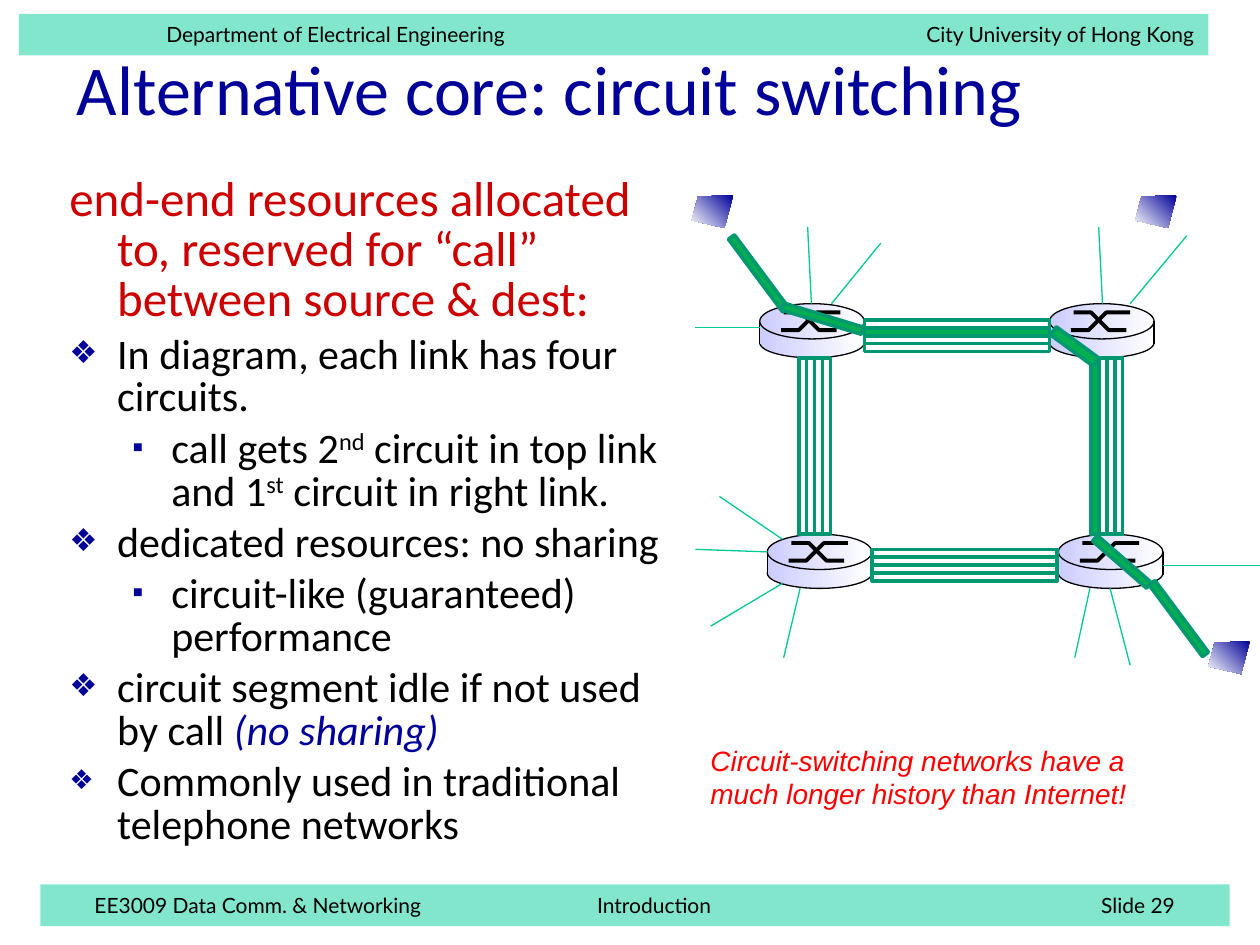
from lxml.etree import SubElement
from pptx import Presentation
from pptx.dml.color import RGBColor
from pptx.enum.shapes import MSO_CONNECTOR, MSO_SHAPE
from pptx.enum.text import MSO_ANCHOR, MSO_AUTO_SIZE, PP_ALIGN
from pptx.oxml.ns import qn
from pptx.util import Inches, Pt

THEME = {
    "bar": "00CC99", "bar_alpha": 49000, "navy": "000099", "lead": "CC0000",
    "text": "000000", "note": "FF0000", "router": "CCCCFF", "white": "FFFFFF",
    "circuit": "009771", "call": "00B050", "access": "00C896",
    "font": "Calibri", "bar_font": "Lato", "note_font": "Arial",
    "title_size": 40, "lead_size": 28, "body_size": 24, "note_size": 16, "bar_size": 12,
}

# (left, top, left margin, text, tab stops measured from the first word)
BARS = [
    (0.15, 0.11, 1.17, "Department of Electrical Engineering\tCity University of Hong Kong",
     [(8.16, "r")]),
    (0.32, 7.02, 0.43, "EE3009 Data Comm. & Networking\tIntroduction\tSlide 29",
     [(3.99, "l"), (7.99, "l")]),
]
TITLE = "Alternative core: circuit switching"
LEAD = "end-end resources allocated to, reserved for “call” between source & dest:"
# (level, bullet size in percent, runs of (text, style))
POINTS = [
    (0, 75, [("In diagram, each link has four circuits.", "")]),
    (1, 75, [("call gets 2", ""), ("nd", "super"), (" circuit in top link and 1", ""),
             ("st", "super"), (" circuit in right link.", "")]),
    (0, 75, [("dedicated resources: no sharing", "")]),
    (1, 75, [("circuit-like (guaranteed) performance", "")]),
    (0, 75, [("circuit segment idle if not used by call ", ""), ("(no sharing)", "accent")]),
    (0, 65, [("Commonly used in traditional telephone networks", "")]),
]
LEVELS = [(0.38, -0.38, "❖"), (0.81, -0.31, "▪")]  # margin, indent, bullet
NOTE = "Circuit-switching networks have a much longer history than Internet!"

COMPUTERS = [(5.49, 1.55), (9.01, 1.55), (9.59, 5.09)]
COMPUTER_OUTLINE = [(0.33, 0), (0.05, 0.01), (0, 0.2), (0.26, 0.26)]
ROUTERS = [(6.03, 2.41), (8.33, 2.41), (6.09, 4.24), (8.4, 4.24)]
ROUTER_WIDTH = 0.83
ROUTER_CROSSING = [
    [(0.17, 0.21), (0.31, 0.21), (0.45, 0.07), (0.64, 0.07)],
    [(0.19, 0.07), (0.33, 0.07), (0.47, 0.21), (0.61, 0.21)],
]
# (left, top, length, vertical, index of the circuit taken by the call)
LINKS = [
    (6.86, 2.54, 1.47, False, 1), (6.34, 2.84, 1.4, True, None),
    (6.92, 4.36, 1.47, False, None), (8.66, 2.84, 1.4, True, 0),
]
CIRCUITS, LINK_THICKNESS = 4, 0.25
CIRCUIT_THICKNESS = LINK_THICKNESS / CIRCUITS
# (left, top, width, height, rotation)
CALL_SEGMENTS = [
    (5.66, 2.14, 0.72, 0.06, 53.3), (9, 4.88, 0.71, 0.06, 53.3), (6.2, 2.5, 0.66, 0.06, 16.9),
    (8.62, 4.43, 0.57, 0.06, 41.1), (8.32, 2.71, 0.42, 0.08, 36.3),
]
ACCESS_LINES = [
    (6.41, 1.8, 6.44, 2.41), (6.99, 1.93, 6.6, 2.41), (5.52, 2.6, 6.03, 2.6),
    (5.52, 4.36, 6.09, 4.38), (5.71, 3.94, 6.21, 4.28), (5.64, 4.97, 6.21, 4.63),
    (6.22, 5.22, 6.35, 4.67), (10, 4.49, 9.23, 4.49), (8.97, 5.28, 8.81, 4.67),
    (8.53, 5.22, 8.65, 4.67), (8.72, 1.8, 8.75, 2.41), (9.42, 1.87, 8.97, 2.41),
]


def color(name):
    return RGBColor.from_string(THEME[name])


def place(part, left, top, width, height):
    part.left, part.top = Inches(left), Inches(top)
    part.width, part.height = Inches(width), Inches(height)


def add_run(paragraph, text, font, size, tint, italic=False):
    run = paragraph.add_run()
    run.text = text
    run.font.name, run.font.size, run.font.italic = THEME[font], Pt(THEME[size]), italic
    run.font.color.rgb = color(tint)
    return run


def paint(shape, fill=None, line=None, weight=0.75, angle=None):
    """Fill solid, or as a gradient to white when an angle is given."""
    shape.shadow.inherit = False
    if fill is None:
        shape.fill.background()
    elif angle is None:
        shape.fill.solid()
        shape.fill.fore_color.rgb = color(fill)
    else:
        shape.fill.gradient()
        shape.fill.gradient_angle = angle
        for stop, tint, position in zip(shape.fill.gradient_stops, (fill, "white"), (0, 1)):
            stop.color.rgb, stop.position = color(tint), position
    if line is None:
        shape.line.fill.background()
    else:
        shape.line.color.rgb, shape.line.width = color(line), Pt(weight)


def add_preset(shapes, kind, left, top, width, height, **look):
    shape = shapes.add_shape(kind, *map(Inches, (left, top, width, height)))
    paint(shape, **look)
    return shape


def add_outline(shapes, left, top, points, close, **look):
    corners = [(Inches(left + x), Inches(top + y)) for x, y in points]
    builder = shapes.build_freeform(*corners[0])
    builder.add_line_segments(corners[1:], close=close)
    paint(builder.convert_to_shape(), **look)


def add_line(shapes, x1, y1, x2, y2, tint):
    line = shapes.add_connector(MSO_CONNECTOR.STRAIGHT, *map(Inches, (x1, y1, x2, y2)))
    line.line.color.rgb, line.line.width = color(tint), Pt(0.75)
    SubElement(line._element.spPr, qn("a:effectLst"))


def add_bar(shapes, left, top, margin, text, tabs):
    bar = add_preset(shapes, MSO_SHAPE.RECTANGLE, left, top, 9.44, 0.33, fill="bar")
    tint = bar._element.spPr.find(qn("a:solidFill"))[0]
    SubElement(tint, qn("a:alpha"), val=str(THEME["bar_alpha"]))
    frame = bar.text_frame
    frame.margin_left, frame.margin_right = Inches(margin), Inches(0.05)
    frame.vertical_anchor = MSO_ANCHOR.MIDDLE
    paragraph = frame.paragraphs[0]
    paragraph.alignment = PP_ALIGN.LEFT
    stops = SubElement(paragraph._p.get_or_add_pPr(), qn("a:tabLst"))
    for position, side in tabs:
        SubElement(stops, qn("a:tab"), pos=str(Inches(position)), algn=side)
    add_run(paragraph, text, "bar_font", "bar_size", "text")


def format_point(paragraph, level, bullet_size=None):
    margin, indent, bullet = LEVELS[level]
    paragraph.level = level
    properties = paragraph._p.get_or_add_pPr()
    properties.set("marL", str(Inches(margin)))
    properties.set("indent", str(Inches(indent)))
    if bullet_size is None:
        SubElement(properties, qn("a:buNone"))
    else:
        tint = SubElement(properties, qn("a:buClr"))
        SubElement(tint, qn("a:srgbClr"), val=THEME["navy"])
        SubElement(properties, qn("a:buSzPct"), val=str(bullet_size * 1000))
        SubElement(properties, qn("a:buChar"), char=bullet)
    paragraph.line_spacing = 0.85
    paragraph.space_before = Pt(0 if bullet_size is None else 4.8)


def write_body(body):
    place(body, 0.45, 1.35, 4.88, 5.08)
    frame = body.text_frame
    frame.auto_size = MSO_AUTO_SIZE.NONE
    lead = frame.paragraphs[0]
    format_point(lead, 0)
    add_run(lead, LEAD, "font", "lead_size", "lead")
    for level, bullet_size, runs in POINTS:
        point = frame.add_paragraph()
        format_point(point, level, bullet_size)
        for text, style in runs:
            accent = style == "accent"
            run = add_run(point, text, "font", "body_size", "navy" if accent else "text", accent)
            if style == "super":
                run._r.get_or_add_rPr().set("baseline", "30000")


def add_router(shapes, left, top):
    metal = {"fill": "router", "angle": 0}
    add_preset(shapes, MSO_SHAPE.OVAL, left, top + 0.19, ROUTER_WIDTH, 0.24, line="text", **metal)
    add_preset(shapes, MSO_SHAPE.RECTANGLE, left, top + 0.17, ROUTER_WIDTH, 0.15, **metal)
    add_preset(shapes, MSO_SHAPE.OVAL, left, top, ROUTER_WIDTH, 0.28, line="text", **metal)
    for stroke in ROUTER_CROSSING:
        add_outline(shapes, left, top, stroke, False, line="text", weight=2.25)
    for x in (left, left + ROUTER_WIDTH):
        add_line(shapes, x, top + 0.14, x, top + 0.32, "text")


def add_link(shapes, left, top, length, vertical, taken):
    for index in range(CIRCUITS):
        shift = index * CIRCUIT_THICKNESS
        box = ((left + shift, top, CIRCUIT_THICKNESS, length) if vertical
               else (left, top + shift, length, CIRCUIT_THICKNESS))
        add_preset(shapes, MSO_SHAPE.RECTANGLE, *box, fill="call" if index == taken else None,
                   line="circuit", weight=2)


def main():
    deck = Presentation()
    deck.slide_width, deck.slide_height = Inches(10), Inches(7.5)
    slide = deck.slides.add_slide(deck.slide_layouts[1])
    shapes = slide.shapes
    place(shapes.title, 0.51, 0.3, 8.5, 0.79)
    shapes.title.text_frame.vertical_anchor = MSO_ANCHOR.MIDDLE
    heading = shapes.title.text_frame.paragraphs[0]
    heading.alignment = PP_ALIGN.LEFT
    add_run(heading, TITLE, "font", "title_size", "navy")
    write_body(slide.placeholders[1])
    for bar in BARS:
        add_bar(shapes, *bar)

    for left, top in COMPUTERS:
        add_outline(shapes, left, top, COMPUTER_OUTLINE, True, fill="navy", angle=225)
    for router in ROUTERS:
        add_router(shapes, *router)
    for link in LINKS:
        add_link(shapes, *link)
    for ends in ACCESS_LINES:
        add_line(shapes, *ends, "access")
    for *box, rotation in CALL_SEGMENTS:
        segment = add_preset(shapes, MSO_SHAPE.RECTANGLE, *box, fill="call", line="circuit", weight=2)
        segment.rotation = rotation

    note = shapes.add_textbox(*map(Inches, (5.54, 5.85, 3.98, 0.64))).text_frame
    note.word_wrap = True
    add_run(note.paragraphs[0], NOTE, "note_font", "note_size", "note", True)
    deck.save("out.pptx")


if __name__ == "__main__":
    main()
